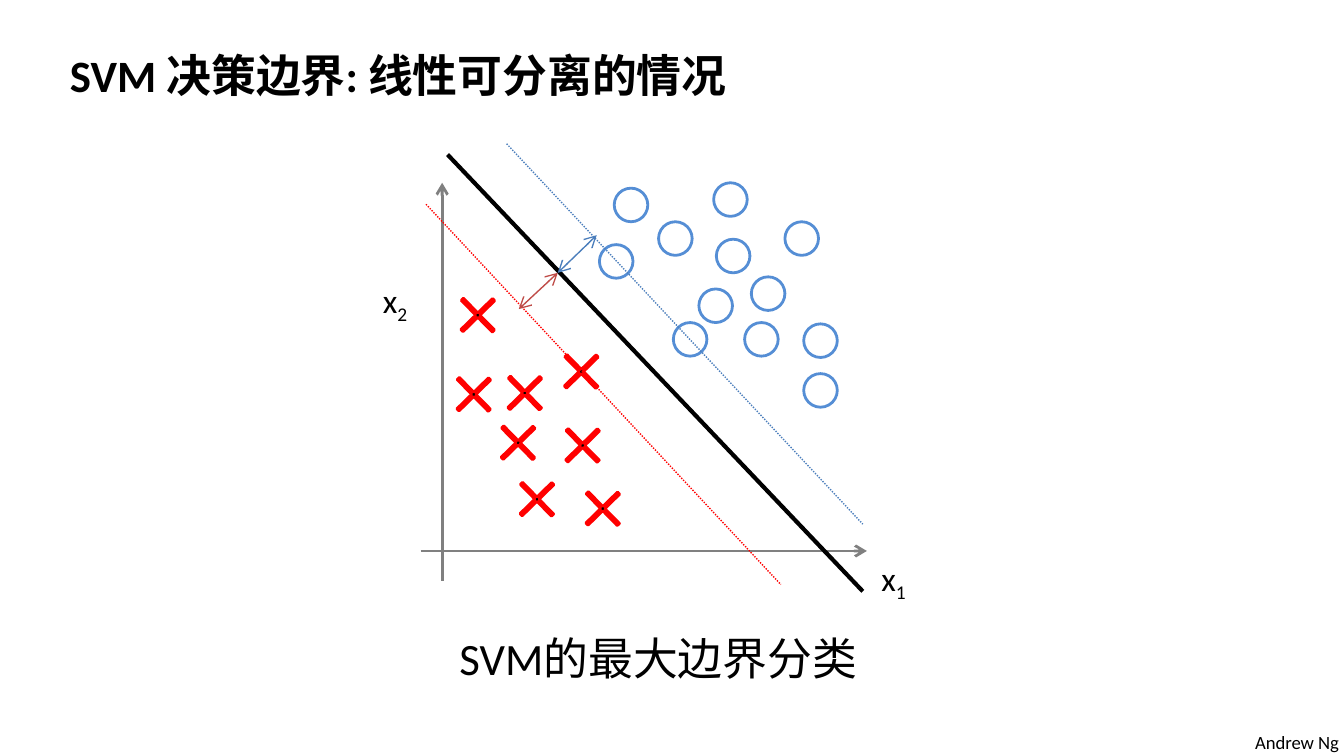
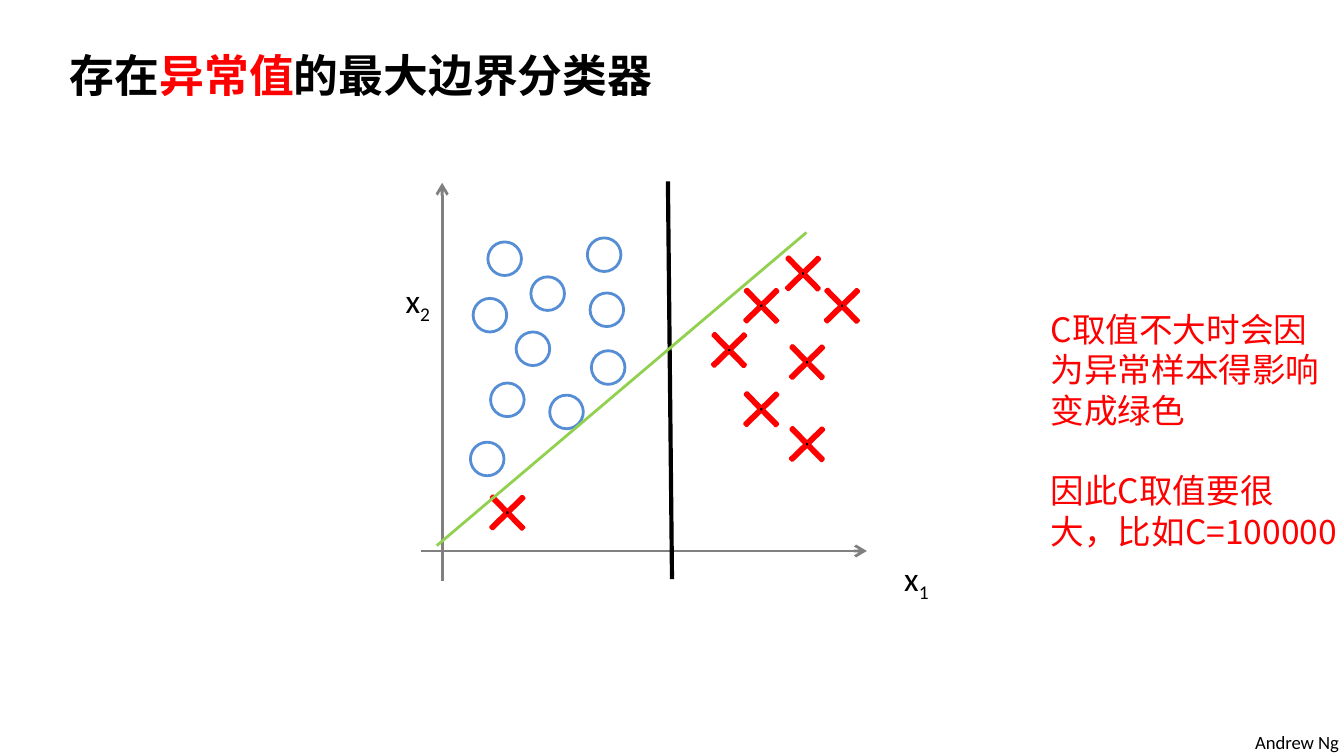
"""Build two slides on SVM decision boundaries."""
from lxml import etree
from pptx import Presentation
from pptx import util as u
from pptx.dml.color import RGBColor
from pptx.enum import dml, shapes, text
from pptx.oxml import ns

Inches, Pt = u.Inches, u.Pt

BLACK = RGBColor(0x00, 0x00, 0x00)
RED = RGBColor(0xFF, 0x00, 0x00)
GREY = RGBColor(0x80, 0x80, 0x80)
CIRCLE_BLUE = RGBColor(0x55, 0x8E, 0xD5)
MARGIN_BLUE = RGBColor(0x4B, 0x7E, 0xBC)
MARGIN_RED = RGBColor(0xBF, 0x4C, 0x48)
GREEN = RGBColor(0x92, 0xD0, 0x50)

LATIN = "Calibri"
CJK = "Noto Sans CJK SC"
CIRCLE_SIZE = 0.25
CROSS_SIZE = 0.33

SEPARABLE_CIRCLES = [
    (5.98, 2.78), (4.9, 1.65), (4.57, 1.4), (5.54, 2.4), (5.98, 2.41), (5.2, 2.15),
    (5.59, 2.06), (4.46, 1.82), (5.01, 2.4), (5.33, 1.78), (5.84, 1.65), (5.31, 1.36),
]
SEPARABLE_CROSSES = [
    (3.83, 3.55), (4.16, 2.6), (4.17, 3.15), (3.69, 3.13),
    (4.32, 3.62), (3.74, 2.76), (3.39, 2.18), (3.36, 2.77),
]
OUTLIER_CIRCLES = [
    (3.5, 3.29), (3.95, 2.06), (3.63, 1.8), (4.09, 2.94), (4.4, 2.61),
    (3.65, 2.85), (3.52, 2.22), (3.84, 2.47), (4.39, 2.18), (4.37, 1.77),
]
OUTLIER_CROSSES = [
    (5.81, 1.87), (5.5, 2.11), (5.84, 2.53), (5.26, 2.44),
    (5.84, 3.14), (6.1, 2.11), (5.5, 2.88), (3.61, 3.65),
]


def format_run(r, size, color=BLACK, bold=False, font=LATIN):
    """Set the font of one run, with the CJK face for Chinese text."""
    r.font.name = font
    r.font.size = Pt(size)
    r.font.bold = bold
    r.font.color.rgb = color
    etree.SubElement(r.font._element, ns.qn("a:ea"), typeface=CJK)


def add_text(s, box, content, size, wrap=True, **style):
    """Add a text box with one paragraph per line and return its frame."""
    tf = s.shapes.add_textbox(*map(Inches, box)).text_frame
    tf.word_wrap = wrap
    tf.text = content
    for p in tf.paragraphs:
        for r in p.runs:
            format_run(r, size, **style)
    return tf


def add_title_slide(prs, parts):
    """Add a slide with the shared footer and a title of (text, colour) parts."""
    s = prs.slides.add_slide(prs.slide_layouts[5])
    title = s.shapes.title
    title.left, title.top, title.width, title.height = map(Inches, (0.42, 0.3, 9.08, 0.51))
    tf = title.text_frame
    tf.word_wrap = True
    tf.vertical_anchor = text.MSO_ANCHOR.MIDDLE
    p = tf.paragraphs[0]
    p.alignment = text.PP_ALIGN.LEFT
    for words, color in parts:
        r = p.add_run()
        r.text = words
        format_run(r, 24, color, bold=True)
    add_text(s, (9.24, 5.39, 0.84, 0.27), "Andrew Ng", 10, wrap=False)
    return s


def add_line(s, start, end, color, width, dotted=False, arrows=()):
    """Add a straight line, with arrowheads at the named ends."""
    line = s.shapes.add_connector(
        shapes.MSO_CONNECTOR.STRAIGHT, *map(Inches, (*start, *end)))
    line.line.color.rgb = color
    line.line.width = Pt(width)
    if dotted:
        line.line.dash_style = dml.MSO_LINE.ROUND_DOT
    spPr = line._element.spPr
    for end_name in arrows:
        etree.SubElement(spPr.find(ns.qn("a:ln")), ns.qn(f"a:{end_name}"), type="arrow")
    etree.SubElement(spPr, ns.qn("a:effectLst"))


def add_mark(s, kind, at, size, color):
    """Add one outlined sample mark and return it."""
    sp = s.shapes.add_shape(kind, *map(Inches, (*at, size, size)))
    sp.shadow.inherit = False
    sp.fill.background()
    sp.line.color.rgb = color
    sp.line.width = Pt(1.5)
    return sp


def add_samples(s, circles, crosses):
    """Add the circles of one class and the crosses of the other."""
    for at in circles:
        add_mark(s, shapes.MSO_SHAPE.OVAL, at, CIRCLE_SIZE, CIRCLE_BLUE)
    for at in crosses:
        sp = add_mark(s, shapes.MSO_SHAPE.CROSS, at, CROSS_SIZE, RED)
        sp.adjustments[0] = 0.466
        sp.rotation = 45.6
        sp.fill.solid()
        sp.fill.fore_color.rgb = BLACK


def add_axes(s, label_shift=0):
    """Add the two axes and their labels x1 and x2."""
    add_line(s, (3.29, 4.32), (3.29, 1.36), GREY, 1.5, arrows=["tailEnd"])
    add_line(s, (3.13, 4.1), (6.45, 4.1), GREY, 1.5, arrows=["tailEnd"])
    for index, left, top in (("1", 6.46, 4.1), ("2", 2.75, 2.03)):
        tf = add_text(s, (left + label_shift, top, 0.54, 0.55), "x", 18, wrap=False)
        r = tf.paragraphs[0].add_run()
        r.text = index
        format_run(r, 18)
        r.font._element.set("baseline", "-25000")


def build_separable(prs):
    """Build the slide on the linearly separable case."""
    s = add_title_slide(prs, [("SVM 决策边界: 线性可分离的情况", BLACK)])
    add_axes(s)
    add_samples(s, SEPARABLE_CIRCLES, SEPARABLE_CROSSES)
    tf = add_text(s, (3.32, 4.64, 3.4, 0.5), "SVM的最大边界分类", 24)
    tf.vertical_anchor = text.MSO_ANCHOR.MIDDLE
    add_line(s, (3.77, 1.07), (6.42, 3.9), MARGIN_BLUE, 0.75, dotted=True)
    add_line(s, (3.17, 1.52), (5.81, 4.35), RED, 0.75, dotted=True)
    add_line(s, (3.33, 1.15), (6.42, 4.4), BLACK, 2.25)
    both = ["headEnd", "tailEnd"]
    add_line(s, (4.15, 2.03), (3.86, 2.3), MARGIN_RED, 0.75, arrows=both)
    add_line(s, (4.44, 1.75), (4.15, 2.03), MARGIN_BLUE, 0.75, arrows=both)


def build_outlier(prs):
    """Build the slide on the classifier with an outlier."""
    s = add_title_slide(
        prs, [("存在", BLACK), ("异常值", RED), ("的最大边界分类器", BLACK)])
    add_samples(s, OUTLIER_CIRCLES, OUTLIER_CROSSES)
    add_axes(s, label_shift=0.17)
    add_line(s, (4.97, 1.35), (5, 4.31), BLACK, 2.25)
    add_line(s, (6, 1.73), (3.25, 4.06), GREEN, 1.5)
    tf = add_text(
        s, (7.72, 2.25, 2.33, 1.92),
        "C取值不大时会因为异常样本得影响变成绿色\n因此C取值要很大，比如C=100000",
        18, color=RED, font=CJK)
    for p in tf.paragraphs:
        p.line_spacing = Pt(21.6)
        p._p.get_or_add_pPr().set("hangingPunct", "0")
    tf.paragraphs[1].space_before = Pt(21.6)


def main():
    """Build and save the presentation."""
    prs = Presentation()
    prs.slide_width = Inches(10)
    prs.slide_height = prs.slide_width * 9 // 16
    build_separable(prs)
    build_outlier(prs)
    prs.save("out.pptx")


if __name__ == "__main__":
    main()
